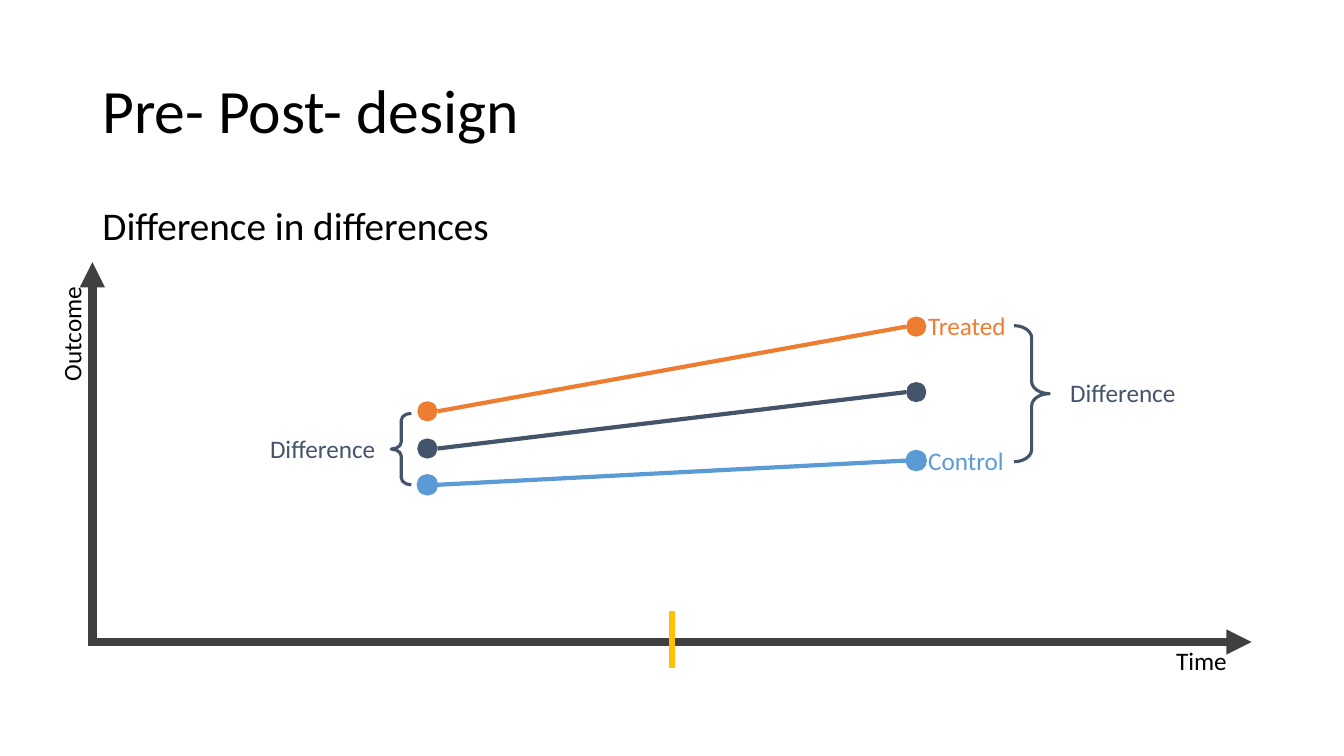
from dataclasses import dataclass

from lxml.etree import SubElement
from pptx import Presentation
from pptx.dml.color import RGBColor
from pptx.enum.shapes import MSO_CONNECTOR, MSO_SHAPE
from pptx.enum.text import MSO_ANCHOR, MSO_AUTO_SIZE, PP_ALIGN
from pptx.oxml.ns import qn
from pptx.util import Pt


@dataclass(frozen=True)
class Theme:
    font: str = "Calibri"
    text: str = "000000"
    axis: str = "404040"
    event: str = "FFC000"
    treated: str = "ED7D31"
    control: str = "5B9BD5"
    middle: str = "44546A"
    title_size: float = 44
    body_size: float = 28
    label_size: float = 18
    axis_width: float = 6
    event_width: float = 4.5
    trend_width: float = 3
    brace_width: float = 2.25


THEME = Theme()

TITLE = ("Pre- Post- design", (66, 28.8, 828, 104.4))
SUBTITLE = ("Difference in differences", (66, 144, 828, 342.7))

# begin, end, colour, width, arrowhead
AXIS_LINES = [
    ((66, 458.6), (894, 458.6), THEME.axis, THEME.axis_width, True),
    ((480, 436.3), (480, 477.4), THEME.event, THEME.event_width, False),
    ((66, 461.5), (66, 187.2), THEME.axis, THEME.axis_width, True),
]

# colour, height before, height after, outline width
PRE_X, POST_X, DOT = 305.3, 654.5, 14.4
TRENDS = [
    (THEME.treated, 293.8, 233.3, 0),
    (THEME.control, 346.3, 329, 1),
    (THEME.middle, 320.4, 280.1, 0),
]

# box, rotation
BRACES = [
    ((724.3, 232.6, 25.2, 97.2), 0),
    ((279.4, 295.2, 14.4, 51.1), 180),
]
BRACE_CURVE = 0.346

# text, left, top, width, colour, rotation
LABEL_HEIGHT = 29
LABELS = [
    ("Time", 833, 457.2, 61.2, THEME.text, 0),
    ("Outcome", 5, 218.9, 92.2, THEME.text, 270),
    ("Control", 655.9, 314.8, 72.7, THEME.control, 0),
    ("Treated", 655.9, 218.3, 72.7, THEME.treated, 0),
    ("Difference", 757.4, 265.9, 90.7, THEME.middle, 0),
    ("Difference", 185.8, 306, 90.7, THEME.middle, 0),
]


def rgb(color):
    return RGBColor.from_string(color)


def points(values):
    return [Pt(v) for v in values]


def write(tf, text, size, color):
    p = tf.paragraphs[0]
    p.alignment = PP_ALIGN.LEFT
    r = p.add_run()
    r.text = text
    r.font.name = THEME.font
    r.font.size = Pt(size)
    r.font.color.rgb = rgb(color)
    return p


def fill_placeholder(sp, content, size, anchor):
    text, box = content
    sp.left, sp.top, sp.width, sp.height = points(box)
    tf = sp.text_frame
    tf.auto_size = MSO_AUTO_SIZE.NONE
    tf.vertical_anchor = anchor
    p = write(tf, text, size, THEME.text)
    p.line_spacing = 0.9
    return p


def add_line(shapes, begin, end, color, width, arrow=False):
    line = shapes.add_connector(MSO_CONNECTOR.STRAIGHT, *points(begin + end))
    line.line.color.rgb = rgb(color)
    line.line.width = Pt(width)
    if arrow:
        SubElement(line.line._get_or_add_ln(), qn("a:tailEnd"), type="triangle")
    SubElement(line._element.spPr, qn("a:effectLst"))


def add_dot(shapes, x, y, color, outline):
    box = (x - DOT / 2, y - DOT / 2, DOT, DOT)
    sp = shapes.add_shape(MSO_SHAPE.OVAL, *points(box))
    sp.shadow.inherit = False
    sp.fill.solid()
    sp.fill.fore_color.rgb = rgb(color)
    if outline:
        sp.line.color.rgb = rgb(color)
        sp.line.width = Pt(outline)
    else:
        sp.line.fill.background()


def add_trend(shapes, color, before, after, outline):
    add_dot(shapes, PRE_X, before, color, outline)
    add_dot(shapes, POST_X, after, color, outline)
    begin, end = (PRE_X + DOT / 2, before), (POST_X - DOT / 2, after)
    add_line(shapes, begin, end, color, THEME.trend_width)


def add_brace(shapes, box, rotation):
    sp = shapes.add_shape(MSO_SHAPE.RIGHT_BRACE, *points(box))
    sp.shadow.inherit = False
    sp.adjustments[0] = BRACE_CURVE
    sp.adjustments[1] = 0.5
    sp.rotation = rotation
    sp.fill.background()
    sp.line.color.rgb = rgb(THEME.middle)
    sp.line.width = Pt(THEME.brace_width)


def add_label(shapes, text, left, top, width, color, rotation):
    sp = shapes.add_textbox(*points((left, top, width, LABEL_HEIGHT)))
    sp.rotation = rotation
    tf = sp.text_frame
    tf.word_wrap = True
    tf.auto_size = MSO_AUTO_SIZE.SHAPE_TO_FIT_TEXT
    write(tf, text, THEME.label_size, color)


def main():
    prs = Presentation()
    prs.slide_width, prs.slide_height = Pt(960), Pt(540)
    slide = prs.slides.add_slide(prs.slide_layouts[1])
    shapes = slide.shapes

    fill_placeholder(shapes.title, TITLE, THEME.title_size, MSO_ANCHOR.MIDDLE)
    p = fill_placeholder(slide.placeholders[1], SUBTITLE, THEME.body_size, MSO_ANCHOR.TOP)
    p.space_before = Pt(10)
    pPr = p._p.get_or_add_pPr()
    pPr.set("marL", "0")
    pPr.set("indent", "0")
    SubElement(pPr, qn("a:buNone"))

    for axis_line in AXIS_LINES:
        add_line(shapes, *axis_line)
    for trend in TRENDS:
        add_trend(shapes, *trend)
    for brace in BRACES:
        add_brace(shapes, *brace)
    for label in LABELS:
        add_label(shapes, *label)

    prs.save("out.pptx")


if __name__ == "__main__":
    main()
